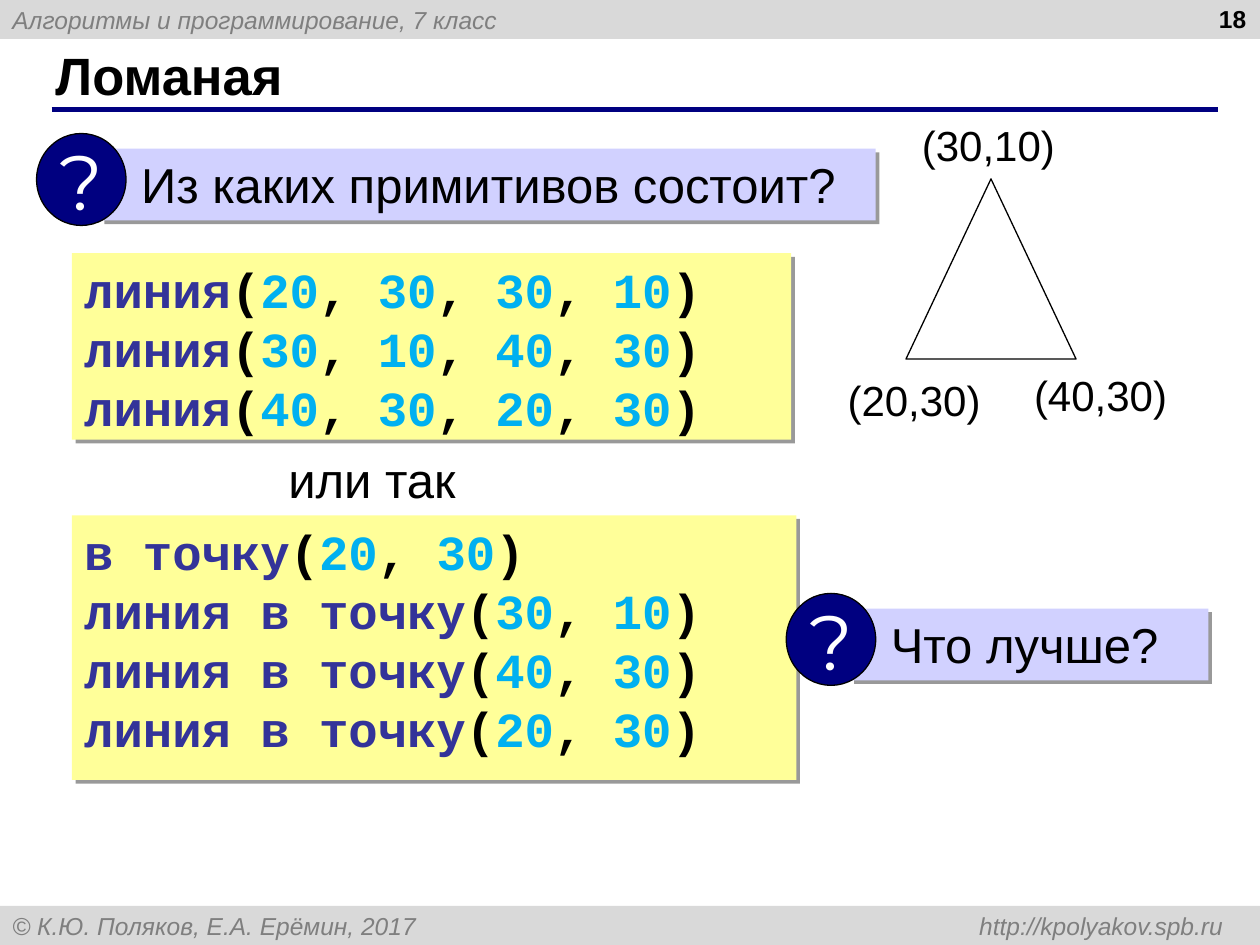
from dataclasses import dataclass
from typing import Optional

from lxml.etree import SubElement
from pptx import Presentation
from pptx.dml.color import RGBColor
from pptx.enum.shapes import MSO_CONNECTOR as Connector, MSO_SHAPE as Preset
from pptx.enum.text import MSO_ANCHOR as Anchor, PP_ALIGN as Align
from pptx.oxml.ns import qn
from pptx.util import Inches, Pt

COLUMNS, ROWS = 100, 75
COLORS = {
    "black": "000000", "white": "FFFFFF", "bar": "D9D9D9", "muted": "7F7F7F",
    "navy": "000080", "banner": "D1D1FF", "code": "FFFF99",
    "command": "333399", "number": "00B0F0",
}


@dataclass(frozen=True)
class Box:
    column: float
    row: float
    columns: float
    rows: float


@dataclass(frozen=True)
class Style:
    size: float
    color: str = "black"
    font: str = "Arial"
    bold: bool = False
    italic: bool = False


@dataclass(frozen=True)
class Call:
    command: str
    numbers: tuple[int, ...]


@dataclass(frozen=True)
class Listing:
    box: Box
    calls: tuple[Call, ...]


@dataclass(frozen=True)
class Label:
    text: str
    box: Box
    style: Style
    align: Align = Align.LEFT
    inset: float = 0.1


@dataclass(frozen=True)
class Question:
    text: str
    column: float
    row: float
    columns: float


BAR_STYLE = Style(14, "muted", italic=True)
CODE_STYLE = Style(28, "command", "Courier New", bold=True)
TEXT_STYLE = Style(28)
POINT_STYLE = Style(24)
MARK_STYLE = Style(44, "white", "Montserrat")
BAR_ROWS = 3.1

LISTINGS = (
    Listing(Box(5.7, 20.1, 57.1, 14.8), (
        Call("линия", (20, 30, 30, 10)),
        Call("линия", (30, 10, 40, 30)),
        Call("линия", (40, 30, 20, 30)),
    )),
    Listing(Box(5.7, 40.9, 57.5, 21), (
        Call("в точку", (20, 30)),
        Call("линия в точку", (30, 10)),
        Call("линия в точку", (40, 30)),
        Call("линия в точку", (20, 30)),
    )),
)
LABELS = (
    Label("(30,10)", Box(72.6, 9.5, 11.7, 4.3), POINT_STYLE, Align.CENTER, 0),
    Label("(20,30)", Box(66.7, 29.7, 11.7, 4.3), POINT_STYLE, Align.CENTER, 0),
    Label("(40,30)", Box(81.5, 29.3, 11.7, 4.3), POINT_STYLE, Align.CENTER, 0),
    Label("или так", Box(21.9, 35.2, 15.3, 5.7), TEXT_STYLE),
    Label("18", Box(76.6, -0.2, 23.3, 5.2), Style(14, bold=True), Align.RIGHT),
)
QUESTIONS = (
    Question("Из каких примитивов состоит?", 2.9, 10.6, 61.5),
    Question("Что лучше?", 62.4, 47.1, 28.4),
)

presentation = Presentation()
presentation.slide_width, presentation.slide_height = Inches(10), Inches(7.5)
slide = presentation.slides.add_slide(presentation.slide_layouts[5])


def across(columns: float) -> int:
    return round(presentation.slide_width * columns / COLUMNS)


def down(rows: float) -> int:
    return round(presentation.slide_height * rows / ROWS)


def place(box: Box) -> tuple[int, int, int, int]:
    return across(box.column), down(box.row), across(box.columns), down(box.rows)


def color(name: str) -> RGBColor:
    return RGBColor.from_string(COLORS[name])


def format_paragraph(paragraph, style: Style, align: Align = Align.LEFT) -> None:
    paragraph.alignment = align
    font = paragraph.font
    font.name, font.size = style.font, Pt(style.size)
    font.bold, font.italic = style.bold, style.italic
    font.color.rgb = color(style.color)


def write(shape, text: str, style: Style, align: Align = Align.LEFT,
          anchor: Anchor = Anchor.TOP, wrap: bool = True):
    frame = shape.text_frame
    frame.word_wrap, frame.vertical_anchor = wrap, anchor
    paragraph = frame.paragraphs[0]
    paragraph.text = text
    format_paragraph(paragraph, style, align)
    return paragraph


def draw_shape(preset: Preset, box: Box, fill: str, outline: Optional[str] = None):
    shape = slide.shapes.add_shape(preset, *place(box))
    shape.shadow.inherit = False
    shape.fill.solid()
    shape.fill.fore_color.rgb = color(fill)
    if outline:
        shape.line.color.rgb = color(outline)
        shape.line.width = Pt(0.75)
    else:
        shape.line.fill.background()
    return shape


def cast_shadow(shape) -> None:
    effects = shape._element.spPr.find(qn("a:effectLst"))
    shadow = SubElement(effects, qn("a:outerShdw"), blurRad="0",
                        dist=str(Pt(3)), dir=str(45 * 60000), algn="tl",
                        rotWithShape="0")
    tint = SubElement(shadow, qn("a:srgbClr"), val=COLORS["black"])
    SubElement(tint, qn("a:alpha"), val="40000")


def draw_bar(row: float, text: str) -> None:
    shape = draw_shape(Preset.RECTANGLE, Box(0, row, COLUMNS, BAR_ROWS), "bar")
    properties = shape.text_frame.paragraphs[0]._p.get_or_add_pPr()
    tabs = SubElement(properties, qn("a:tabLst"))
    SubElement(tabs, qn("a:tab"), pos=str(across(96.1)), algn="r")
    write(shape, text, BAR_STYLE, anchor=Anchor.MIDDLE)


def draw_rule() -> None:
    rule = slide.shapes.add_connector(
        Connector.STRAIGHT, across(4.1), down(8.7), across(96.7), down(8.7))
    rule.line.color.rgb = color("navy")
    rule.line.width = Pt(3)
    SubElement(rule._element.spPr, qn("a:effectLst"))


def draw_label(label: Label) -> None:
    shape = slide.shapes.add_textbox(*place(label.box))
    frame = shape.text_frame
    frame.margin_left = frame.margin_right = Inches(label.inset)
    frame.margin_top = frame.margin_bottom = Inches(label.inset / 2)
    write(shape, label.text, label.style, label.align)


def draw_listing(listing: Listing) -> None:
    shape = draw_shape(Preset.RECTANGLE, listing.box, "code")
    cast_shadow(shape)
    frame = shape.text_frame
    frame.word_wrap, frame.vertical_anchor = True, Anchor.TOP
    for index, call in enumerate(listing.calls):
        paragraph = frame.add_paragraph() if index else frame.paragraphs[0]
        format_paragraph(paragraph, CODE_STYLE)
        pieces = [(call.command, "command")]
        for position, number in enumerate(call.numbers):
            pieces += [(", " if position else "(", "black"), (str(number), "number")]
        for text, tone in pieces + [(")", "black")]:
            run = paragraph.add_run()
            run.text = text
            run.font.color.rgb = color(tone)


def draw_question(question: Question) -> None:
    banner = draw_shape(Preset.RECTANGLE, Box(
        question.column + 5.1, question.row + 1.2, question.columns, 5.7), "banner")
    cast_shadow(banner)
    banner.text_frame.margin_left = across(3.2)
    write(banner, question.text, TEXT_STYLE)
    mark = draw_shape(Preset.OVAL, Box(question.column, question.row, 7.1, 7.3),
                      "navy", "black")
    write(mark, "?", MARK_STYLE, Align.CENTER, Anchor.MIDDLE, wrap=False)


title = slide.shapes.title
title.left, title.top, title.width, title.height = place(Box(3.4, 3.3, 91.6, 5.2))
write(title, "Ломаная", Style(30, bold=True), anchor=Anchor.MIDDLE)
draw_bar(0, "Алгоритмы и программирование, 7 класс")
draw_bar(ROWS - BAR_ROWS, "© К.Ю. Поляков, Е.А. Ерёмин, 2017\thttp://kpolyakov.spb.ru")
draw_rule()
draw_shape(Preset.ISOSCELES_TRIANGLE, Box(71.9, 14.2, 13.5, 14.3), "white", "black")
for item in LABELS:
    draw_label(item)
for item in LISTINGS:
    draw_listing(item)
for item in QUESTIONS:
    draw_question(item)
presentation.save("out.pptx")
